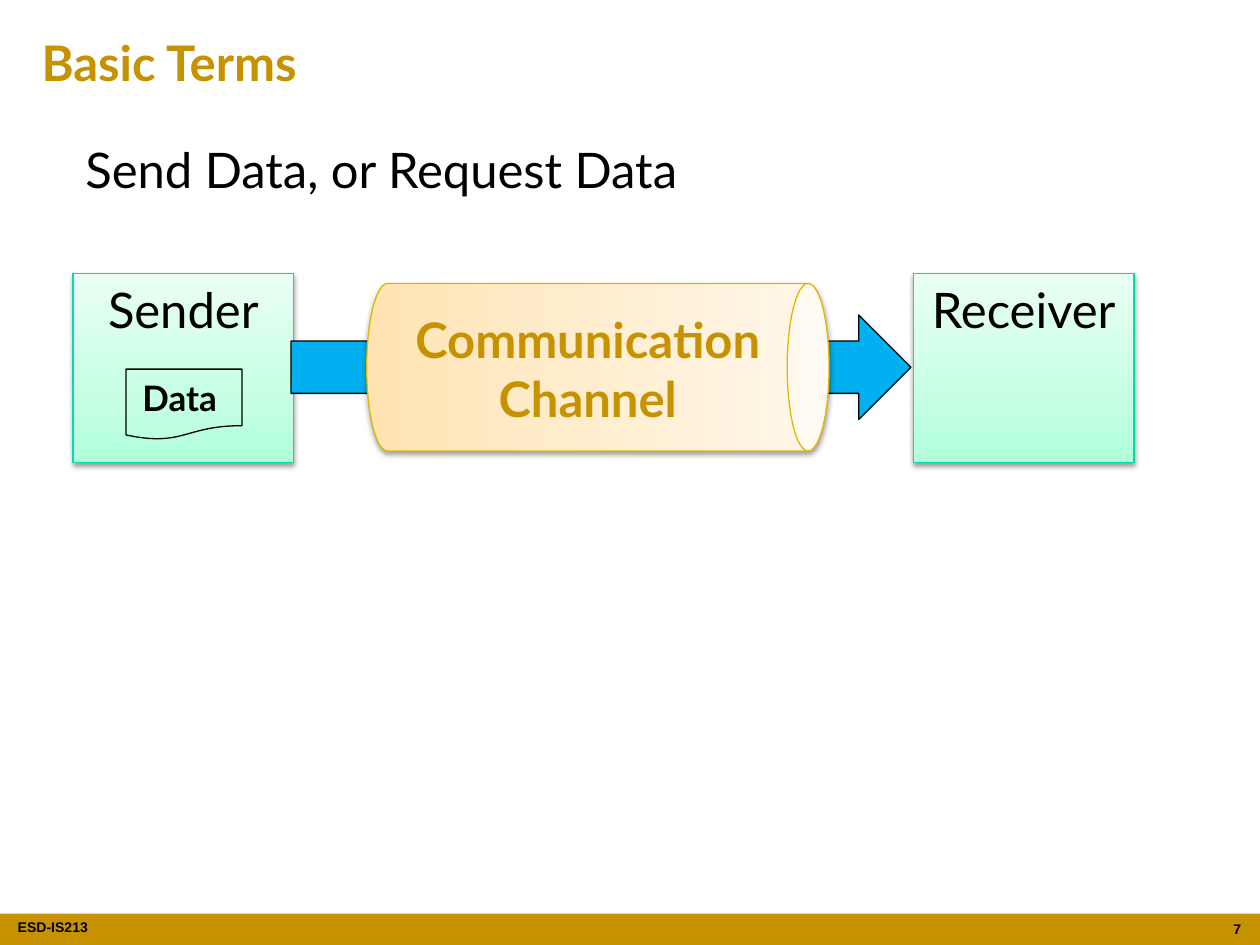
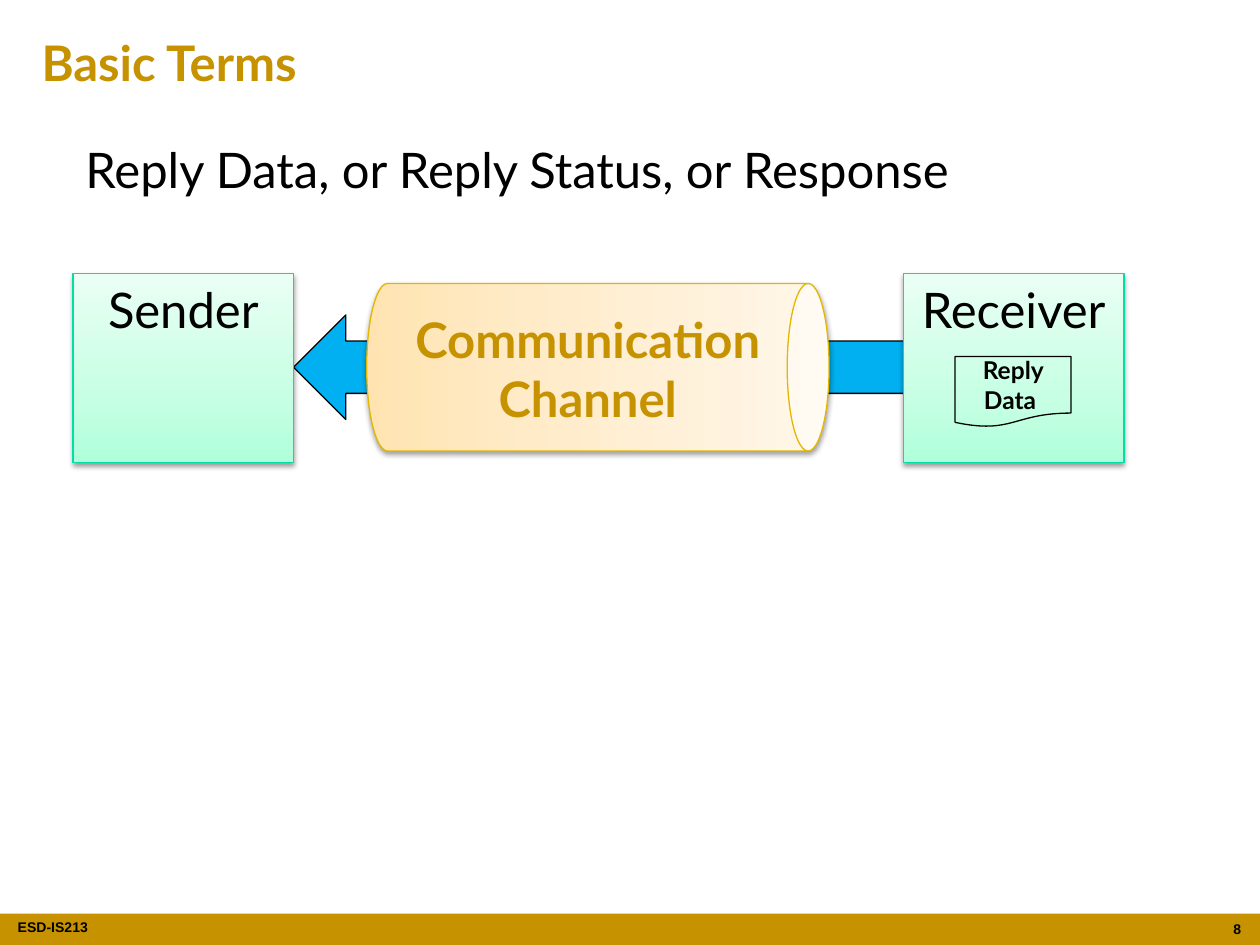
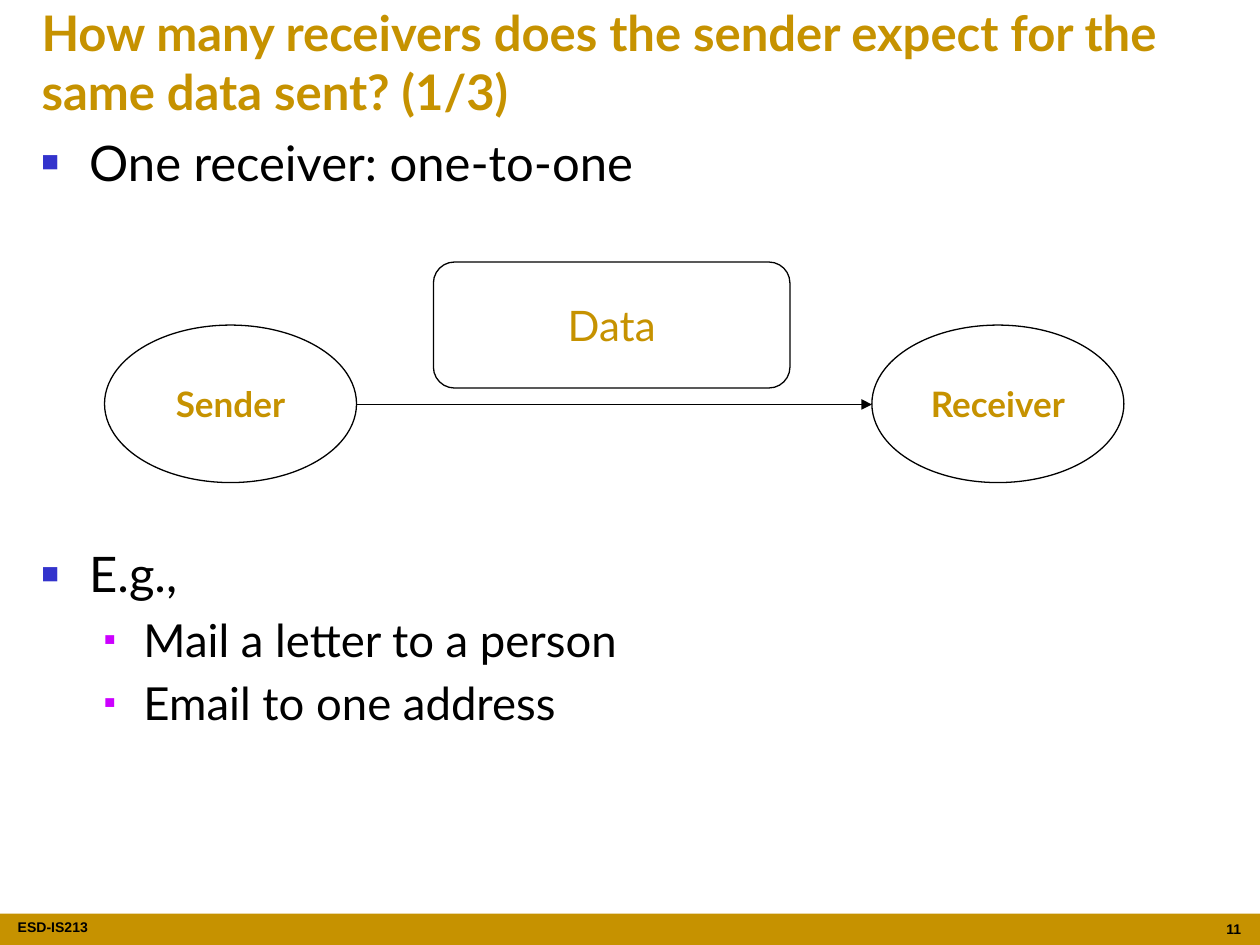
from dataclasses import dataclass
from typing import Any

from lxml.etree import SubElement
from pptx import Presentation
from pptx.dml.color import RGBColor as RGB
from pptx.enum.shapes import MSO_CONNECTOR as Wire, MSO_SHAPE as Kind
from pptx.enum.text import MSO_ANCHOR as Anchor, MSO_AUTO_SIZE as Fit, PP_ALIGN as Align
from pptx.oxml.ns import qn
from pptx.util import Inches, Pt

Frame = tuple[float, float, float, float]
Grad = tuple[tuple[int, str], ...]


@dataclass(frozen=True)
class Theme:
    gold: str = "C69200"
    black: str = "000000"
    sky: str = "00B0F0"
    mint_edge: str = "00DFA4"
    sand_edge: str = "E3B700"
    mint: Grad = ((0, "B0FFDA"), (35, "C7FFE4"), (100, "EAFFF4"))
    sand: Grad = ((0, "FFE4B1"), (35, "FFEBC8"), (100, "FFF7EA"))
    font: str = "Lato"
    small_font: str = "Arial"
    head: int = 28
    sub: int = 26
    data: int = 24
    label: int = 20
    reply: int = 14
    foot: int = 8
    line: float = 0.75


T = Theme()


@dataclass(frozen=True)
class Style:
    size: int = T.head
    color: str = T.black
    bold: bool = False
    font: str = T.font
    align: Align = Align.CENTER
    anchor: Anchor = Anchor.TOP


@dataclass(frozen=True)
class Box:
    kind: Kind
    at: Frame
    text: str = ""
    style: Style = Style()
    fill: str | Grad | None = None
    edge: str | None = T.black
    turn: int = 0
    flip: bool = False


@dataclass(frozen=True)
class Item:
    text: str
    size: int
    indent: float
    hang: float
    gap: float
    color: str
    scale: int


TITLE = Style(color=T.gold, bold=True, align=Align.LEFT, anchor=Anchor.MIDDLE)
LEAD = Style(align=Align.LEFT)
FOOT = Style(T.foot, bold=True, font=T.small_font, align=Align.LEFT)
PAGE = Style(T.foot, bold=True, font=T.small_font, align=Align.RIGHT)
PIPE = Style(color=T.gold, bold=True)
DATA = Style(T.label, bold=True, anchor=Anchor.MIDDLE)
REPLY = Style(T.reply, bold=True, anchor=Anchor.MIDDLE)
NODE = Style(T.label, T.gold, True, anchor=Anchor.MIDDLE)
CARD = Style(T.data, T.gold, anchor=Anchor.MIDDLE)


def inch(at: Frame) -> list[int]:
    return [Inches(v) for v in at]


def put(obj: Any, **vals: Any) -> None:
    for name, val in vals.items():
        setattr(obj, name, val)


def ink(run: Any, style: Style) -> None:
    put(run.font, name=style.font, size=Pt(style.size), bold=style.bold)
    run.font.color.rgb = RGB.from_string(style.color)


def write(shape: Any, text: str, style: Style) -> None:
    frame = shape.text_frame
    put(frame, word_wrap=True, auto_size=Fit.NONE, vertical_anchor=style.anchor)
    para = frame.paragraphs[0]
    para.alignment = style.align
    run = para.add_run()
    run.text = text
    ink(run, style)


def label(shapes: Any, at: Frame, text: str, style: Style) -> Any:
    box = shapes.add_textbox(*inch(at))
    write(box, text, style)
    return box


def shade(shape: Any, stops: Grad) -> None:
    """Fill bottom to top with the stops and add a soft shadow below."""
    shape.fill.gradient()
    shape.fill.gradient_angle = 90
    props = shape.element.spPr
    ramp = props.find(".//" + qn("a:gsLst"))
    ramp.clear()
    for pos, color in stops:
        stop = SubElement(ramp, qn("a:gs"), pos=str(pos * 1000))
        SubElement(stop, qn("a:srgbClr"), val=color)
    drop = SubElement(props.find(qn("a:effectLst")), qn("a:outerShdw"),
                      blurRad=str(Pt(3.1)), dist=str(Pt(1.6)),
                      dir="5400000", rotWithShape="0")
    tint = SubElement(drop, qn("a:srgbClr"), val=T.black)
    SubElement(tint, qn("a:alpha"), val="38000")


def draw(shapes: Any, box: Box) -> Any:
    shape = shapes.add_shape(box.kind, *inch(box.at))
    shape.shadow.inherit = False
    shape.rotation = box.turn
    if box.flip:
        shape.element.spPr.xfrm.set("flipH", "1")
    if box.fill is None:
        shape.fill.background()
    elif isinstance(box.fill, str):
        shape.fill.solid()
        shape.fill.fore_color.rgb = RGB.from_string(box.fill)
    else:
        shade(shape, box.fill)
    if box.edge is None:
        shape.line.fill.background()
    else:
        shape.line.color.rgb = RGB.from_string(box.edge)
        shape.line.width = Pt(T.line)
    if box.text:
        write(shape, box.text, box.style)
    return shape


def arrow(shapes: Any, start: tuple[float, float], end: tuple[float, float]) -> None:
    wire = shapes.add_connector(Wire.STRAIGHT, *inch(start + end))
    wire.line.color.rgb = RGB.from_string(T.black)
    wire.line.width = Pt(T.line)
    SubElement(wire.line._get_or_add_ln(), qn("a:tailEnd"), type="triangle")
    SubElement(wire.element.spPr, qn("a:effectLst"))


def bullets(shapes: Any, at: Frame, items: list[Item]) -> None:
    frame = shapes.add_textbox(*inch(at)).text_frame
    frame.word_wrap = True
    for i, item in enumerate(items):
        para = frame.add_paragraph() if i else frame.paragraphs[0]
        para.space_before = Pt(item.gap)
        run = para.add_run()
        run.text = item.text
        ink(run, Style(item.size))
        props = para._p.get_or_add_pPr()
        props.set("marL", str(Inches(item.indent)))
        props.set("indent", str(-Inches(item.hang)))
        tint = SubElement(props, qn("a:buClr"))
        SubElement(tint, qn("a:srgbClr"), val=item.color)
        SubElement(props, qn("a:buSzPct"), val=str(item.scale * 1000))
        SubElement(props, qn("a:buFont"), typeface=T.small_font)
        SubElement(props, qn("a:buChar"), char="■")


def brand(slide: Any) -> None:
    """Place the band and course code on the layout that all slides use."""
    band = draw(slide.shapes, Box(Kind.RECTANGLE, (0, 7.25, 10, 0.25),
                                  fill=T.gold, edge=None))
    code = label(slide.shapes, (0.14, 7.24, 1.29, 0.25), "ESD-IS213", FOOT)
    put(code.text_frame, margin_left=0, margin_right=0)
    for num, part in enumerate((band, code), 90):
        part.element.nvSpPr.cNvPr.set("id", str(num))
        slide.slide_layout.shapes.element.append(part.element)


def start(deck: Any, title: str, page: int, top: float = 0.21, high: float = 0.57) -> Any:
    slide = deck.slides.add_slide(deck.slide_layouts[5])
    head = slide.shapes.title
    left, y, wide, tall = inch((0.23, top, 9.54, high))
    put(head, left=left, top=y, width=wide, height=tall)
    write(head, title, TITLE)
    label(slide.shapes, (9.56, 7.26, 0.39, 0.24), str(page), PAGE)
    return slide


def party(name: str, left: float) -> Box:
    return Box(Kind.RECTANGLE, (left, 2.17, 1.75, 1.5), name,
               fill=T.mint, edge=T.mint_edge)


def flow(left: float, flip: bool = False) -> Box:
    return Box(Kind.RIGHT_ARROW, (left, 2.5, 4.92, 0.83), fill=T.sky, flip=flip)


def note(at: tuple[float, float], text: str, style: Style) -> Box:
    return Box(Kind.FLOWCHART_DOCUMENT, (*at, 0.92, 0.56), text, style)


def terms(deck: Any, page: int, lead: str, boxes: list[Box], paper: Box) -> Any:
    slide = start(deck, "Basic Terms", page)
    label(slide.shapes, (0.58, 1.06, 8.77, 0.57), lead, LEAD)
    for box in boxes:
        draw(slide.shapes, box)
    group = slide.shapes.add_group_shape().shapes
    draw(group, Box(Kind.CAN, (4.08, 1.08, 1.33, 3.67),
                    fill=T.sand, edge=T.sand_edge, turn=90))
    label(group, (3, 2.41, 3.33, 1.04), "Communication Channel", PIPE)
    draw(slide.shapes, paper)
    return slide


def single(deck: Any) -> None:
    slide = start(deck, "How many receivers does the sender expect for the "
                  "same data sent? (1/3)", 11, -0.03, 1.04)
    main = (0.38, 0.38)
    sub = (0.81, 0.31)
    bullets(slide.shapes, (0.23, 1, 9.52, 6), [
        Item("One receiver: one-to-one", T.head, *main, 0, "3333CC", 60),
        Item("E.g.,", T.head, *main, 201.6, "3333CC", 60),
        Item("Mail a letter to a person", T.sub, *sub, 5.2, "CC00FF", 40),
        Item("Email to one address", T.sub, *sub, 5.2, "CC00FF", 40),
    ])
    for name, left in (("Sender", 0.83), ("Receiver", 6.92)):
        draw(slide.shapes, Box(Kind.OVAL, (left, 2.58, 2, 1.25), name, NODE))
    draw(slide.shapes, Box(Kind.ROUNDED_RECTANGLE, (3.44, 2.08, 2.83, 1), "Data", CARD))
    arrow(slide.shapes, (2.83, 3.21), (6.92, 3.21))


def main() -> None:
    deck = Presentation()
    put(deck, slide_width=Inches(10), slide_height=Inches(7.5))
    sender = party("Sender", 0.58)
    first = terms(deck, 7, "Send Data, or Request Data",
                  [sender, party("Receiver", 7.25), flow(2.31)],
                  note((1, 2.93), "Data ", DATA))
    brand(first)
    terms(deck, 8, "Reply Data, or Reply Status, or Response",
          [flow(2.33, True), sender, party("Receiver", 7.17)],
          note((7.58, 2.83), "Reply Data ", REPLY))
    single(deck)
    deck.save("out.pptx")


if __name__ == "__main__":
    main()
